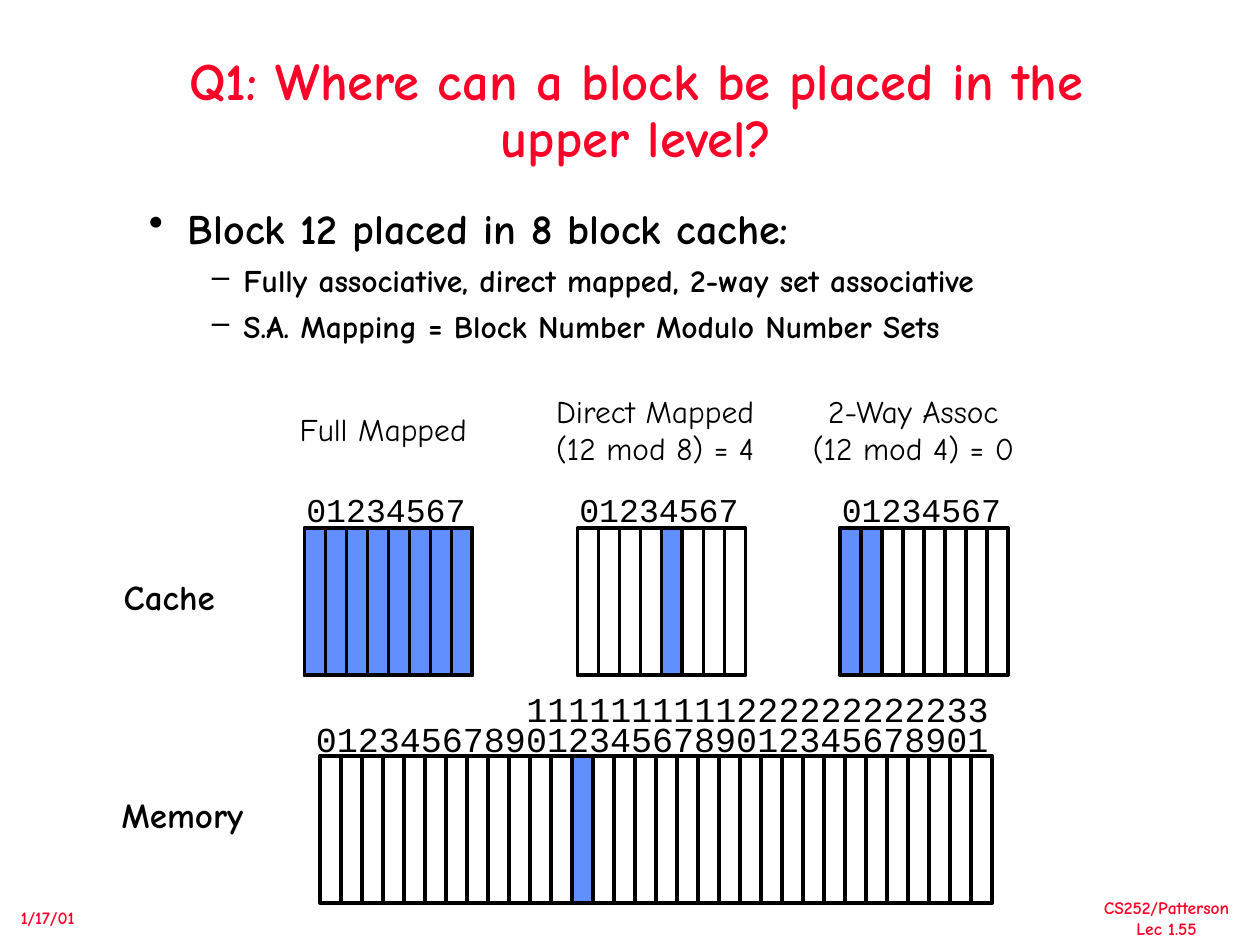
"""Build a slide on where a memory block may be placed in an eight block cache."""
from lxml.etree import SubElement
from pptx import Presentation
from pptx.dml.color import RGBColor
from pptx.enum.shapes import MSO_CONNECTOR, MSO_SHAPE
from pptx.enum.text import MSO_ANCHOR, MSO_AUTO_SIZE, PP_ALIGN
from pptx.oxml.ns import qn
from pptx.util import Inches, Pt

COLORS = {name: RGBColor.from_string(value) for name, value in
          {"red": "FC0128", "black": "000000", "blue": "618FFD"}.items()}

deck = Presentation()
deck.slide_width, deck.slide_height = Inches(10), Inches(7.5)
column, row = deck.slide_width / 60, deck.slide_height / 45
page = deck.slides.add_slide(deck.slide_layouts[5])


def write(text, place, box=None, size=18, bold=False, color="black", font="Comic Neue",
          align=PP_ALIGN.LEFT, anchor=MSO_ANCHOR.TOP, spacing=1.0):
    left, top, width, height = place
    box = box or page.shapes.add_textbox(0, 0, 0, 0)
    box.left, box.width = int(left * column), int(width * column)
    box.top, box.height = int(top * row), int(height * row)
    frame = box.text_frame
    frame.text = text
    frame.word_wrap = True
    frame.auto_size = MSO_AUTO_SIZE.NONE
    frame.vertical_anchor = anchor
    for para in frame.paragraphs:
        para.alignment, para.line_spacing = align, spacing
        for span in para.runs:
            span.font.name, span.font.size, span.font.bold = font, Pt(size), bold
            span.font.color.rgb = COLORS[color]
    return frame


def draw_blocks(left, top, count, first, filled):
    height = 7
    for start, cells, fill in ((first, filled, "blue"), (0, count, None)):
        frame = page.shapes.add_shape(
            MSO_SHAPE.RECTANGLE, int((left + start) * column), int(top * row),
            int(cells * column), int(height * row))
        frame.shadow.inherit = False
        frame.line.color.rgb, frame.line.width = COLORS["black"], Pt(2.25)
        if fill:
            frame.fill.solid()
            frame.fill.fore_color.rgb = COLORS[fill]
        else:
            frame.fill.background()
    for cell in range(1, count):
        x = int((left + cell) * column)
        divider = page.shapes.add_connector(
            MSO_CONNECTOR.STRAIGHT, x, int(top * row), x, int((top + height) * row))
        divider.line.color.rgb, divider.line.width = COLORS["black"], Pt(2.25)
        SubElement(divider.element.spPr, qn("a:effectLst"))
        if cell == count // 2:
            divider.begin_connect(frame, 0)
            divider.end_connect(frame, 2)


write("Q1: Where can a block be placed in the upper level?", (6.8, 1.6, 47, 7.5),
      box=page.shapes.title, size=30, bold=True, color="red",
      align=PP_ALIGN.CENTER, anchor=MSO_ANCHOR.MIDDLE, spacing=0.9)

body = write("Block 12 placed in 8 block cache:\n"
             "Fully associative, direct mapped, 2-way set associative\n"
             "S.A. Mapping = Block Number Modulo Number Sets",
             (6.5, 9.6, 47, 12), bold=True, spacing=0.9)
outline = ((0, 24, 9, 0.31, 0.31, "•"), (1, 18, 6.8, 0.75, 0.25, "–"), (1, 18, 6.8, 0.75, 0.25, "–"))
for para, (level, size, before, margin, hanging, mark) in zip(body.paragraphs, outline):
    para.level, para.space_before = level, Pt(before)
    para.runs[0].font.size = Pt(size)
    properties = para._p.get_or_add_pPr()
    properties.set("marL", str(Inches(margin)))
    properties.set("indent", str(-Inches(hanging)))
    SubElement(properties, qn("a:buChar")).set("char", mark)

caches = (
    (14.5, "Full Mapped", 18.25, 0, 8),
    (27.5, "Direct Mapped\n(12 mod 8) = 4", 31.2, 4, 1),
    (40, "2-Way Assoc\n(12 mod 4) = 0", 43.5, 0, 2),
)
for left, label, center, first, filled in caches:
    write(label, (center - 6, 18.35, 12, 4.2), align=PP_ALIGN.CENTER, anchor=MSO_ANCHOR.MIDDLE)
    draw_blocks(left, 25.15, 8, first, filled)
    write("01234567", (left - 1.12, 23, 10, 2.5), size=19, font="Courier New",
          align=PP_ALIGN.CENTER, anchor=MSO_ANCHOR.MIDDLE)

draw_blocks(15.25, 36, 32, 12, 1)
write("1111111111222222222233\n01234567890123456789012345678901", (13, 33, 34.7, 3.4),
      size=20, font="Courier New", align=PP_ALIGN.RIGHT, anchor=MSO_ANCHOR.MIDDLE, spacing=0.7)

for label, left, top in (("Cache", 5.3, 27.1), ("Memory", 5.2, 37.5)):
    write(label, (left, top, 8, 2.6), size=20, bold=True)

write("CS252/Patterson\nLec 1.55", (51.35, 42.4, 8.4, 2.6), size=10, bold=True,
      color="red", align=PP_ALIGN.CENTER)
write("1/17/01", (0.4, 42.9, 5, 1.6), size=10, bold=True, color="red")

deck.save("out.pptx")
